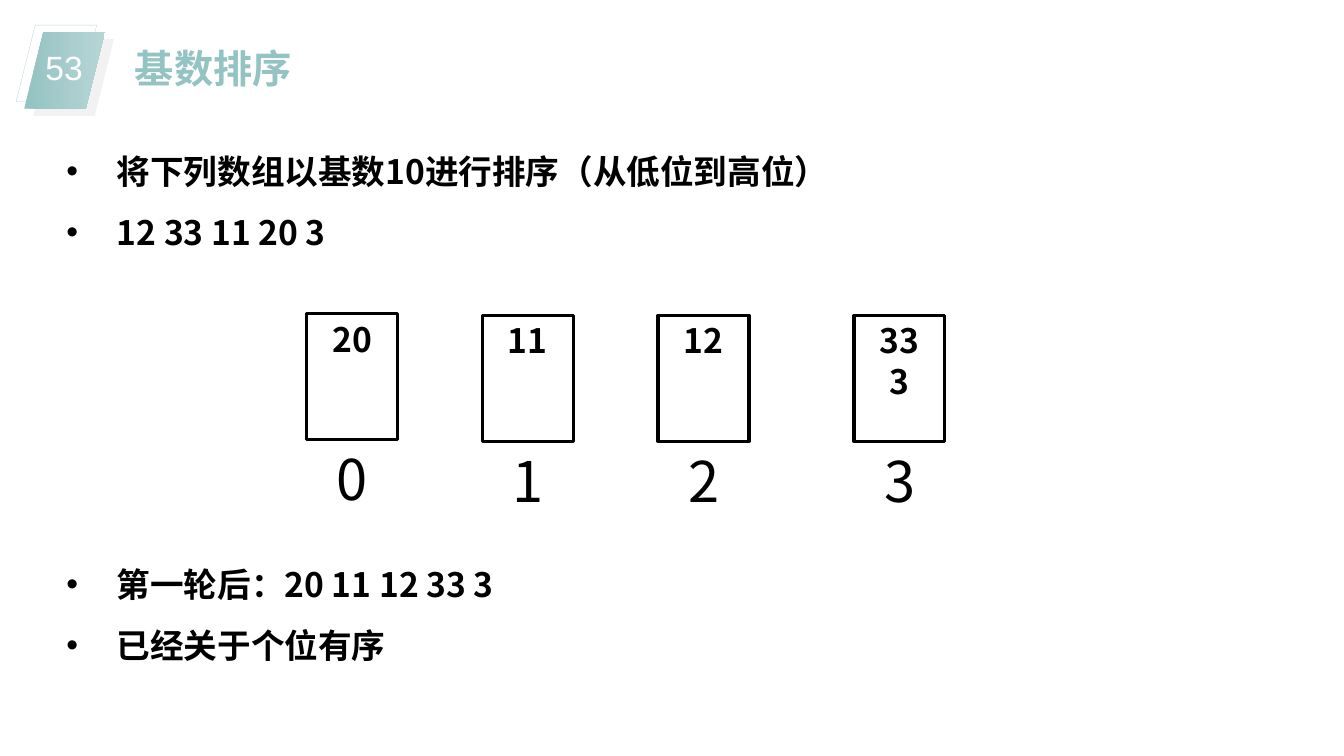
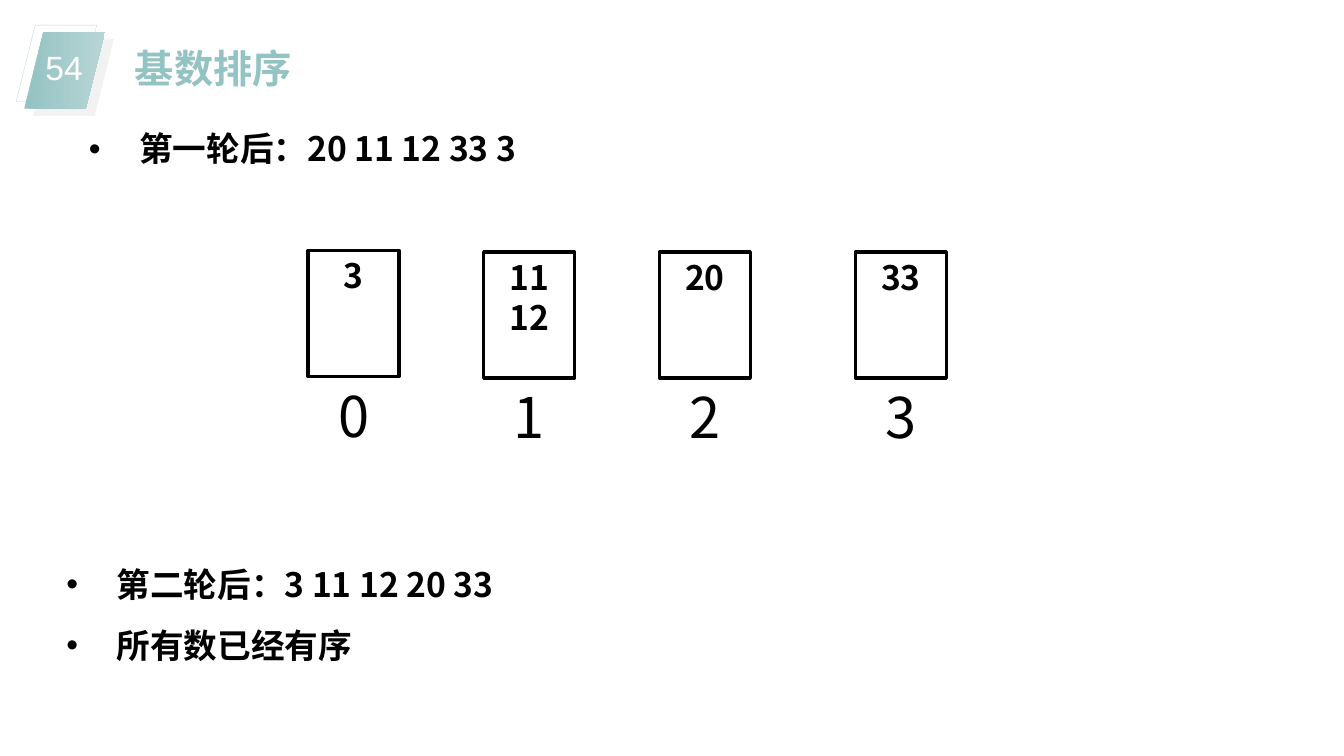
from lxml import etree
from pptx import Presentation
from pptx.dml.color import RGBColor
from pptx.enum import shapes, text
from pptx.oxml.ns import qn
from pptx.util import Pt

TEAL, PALE, EDGE, GREY = "93C3C2", "B7D5D5", "BAD7D7", "F2F2F2"
BLACK, WHITE = "000000", "FFFFFF"
SANS, HAN = "Arial", "Noto Sans CJK SC"
MID, LEFT = text.PP_ALIGN.CENTER, text.PP_ALIGN.LEFT
TITLE = "基数排序"
COLS = (219, 344.5, 470, 610)
STEP = 1.2

SLIDES = [
    dict(
        page=53, x=0, y=224,
        bins=[["20"], ["11"], ["12"], ["33", "3"]],
        notes=[
            (40.3, 90, ["将下列数组以基数10进行排序（从低位到高位）", "12 33 11 20 3"]),
            (40.3, 385, ["第一轮后：20 11 12 33 3", "已经关于个位有序"]),
        ],
    ),
    dict(
        page=54, x=1, y=178.8,
        bins=[["3"], ["11", "12"], ["20"], ["33"]],
        notes=[
            (56.4, 73.7, ["第一轮后：20 11 12 33 3"]),
            (40.3, 385, ["第二轮后：3 11 12 20 33", "所有数已经有序"]),
        ],
    ),
]


def color(code):
    return RGBColor.from_string(code)


def bullet(para):
    props = para._p.get_or_add_pPr()
    props.set("marL", str(Pt(36)))
    props.set("indent", str(-Pt(36)))
    etree.SubElement(props, qn("a:buFont")).set("typeface", SANS)
    etree.SubElement(props, qn("a:buChar")).set("char", "•")


def write(shape, lines, size, ink=BLACK, face=HAN, bold=False, align=MID,
          space=None, dots=False, wrap=True, anchor=text.MSO_ANCHOR.TOP):
    frame = shape.text_frame
    frame.word_wrap = wrap
    frame.vertical_anchor = anchor
    frame.text = "\n".join(lines)
    for para in frame.paragraphs:
        para.alignment = align
        if space:
            para.line_spacing = space
        if dots:
            bullet(para)
        font = para.font
        font.size, font.bold, font.name = Pt(size), bold, face
        font.color.rgb = color(ink)
        props = para._p.pPr.find(qn("a:defRPr"))
        etree.SubElement(props, qn("a:ea")).set("typeface", HAN)


def label(slide, box, lines, size, **style):
    write(slide.shapes.add_textbox(*map(Pt, box)), lines, size, **style)


def block(slide, kind, box, fill=None, line=None, width=0):
    shape = slide.shapes.add_shape(kind, *map(Pt, box))
    shape.shadow.inherit = False
    if fill:
        shape.fill.solid()
        shape.fill.fore_color.rgb = color(fill)
    else:
        shape.fill.background()
    if line:
        shape.line.color.rgb = color(line)
        shape.line.width = Pt(width)
    else:
        shape.line.fill.background()
    return shape


def header(slide, page):
    kind = shapes.MSO_SHAPE.PARALLELOGRAM
    block(slide, kind, (11.5, 18, 57.6, 54.7), line=EDGE, width=0.25)
    block(slide, kind, (23.8, 28, 57.6, 54.7), fill=GREY)
    badge = block(slide, kind, (17.3, 23, 57.6, 54.7))
    badge.fill.gradient()
    badge.fill.gradient_angle = 0
    for stop, code, spot in zip(badge.fill.gradient_stops, (TEAL, PALE), (0, 0.99)):
        stop.color.rgb = color(code)
        stop.position = spot
    label(slide, (23.8, 25.9, 43.9, 38.9), [str(page)], 24, ink=WHITE, face=SANS,
          space=1.2, wrap=False, anchor=text.MSO_ANCHOR.MIDDLE)
    label(slide, (89.3, 28, 166.3, 41), [TITLE], 28, ink=TEAL, face=SANS,
          bold=True, align=text.PP_ALIGN.JUSTIFY)


def bins(slide, x, y, items):
    for digit, (col, lines) in enumerate(zip(COLS, items)):
        left = x + col
        top = y + (STEP if digit else 0)
        box = block(slide, shapes.MSO_SHAPE.RECTANGLE, (left, top, 65, 90),
                    line=BLACK, width=2.25)
        write(box, lines, 24, bold=True)
        label(slide, (left + 14.5, top + 90, 36, 55.4), [str(digit)], 40, wrap=False)


def main():
    deck = Presentation()
    deck.slide_width, deck.slide_height = Pt(960), Pt(540)
    for data in SLIDES:
        slide = deck.slides.add_slide(deck.slide_layouts[6])
        header(slide, data["page"])
        bins(slide, data["x"], data["y"], data["bins"])
        for left, top, lines in data["notes"]:
            label(slide, (left, top, 860.4, 45 * len(lines)), lines, 24,
                  bold=True, align=LEFT, space=1.5, dots=True)
    deck.save("out.pptx")


if __name__ == "__main__":
    main()
